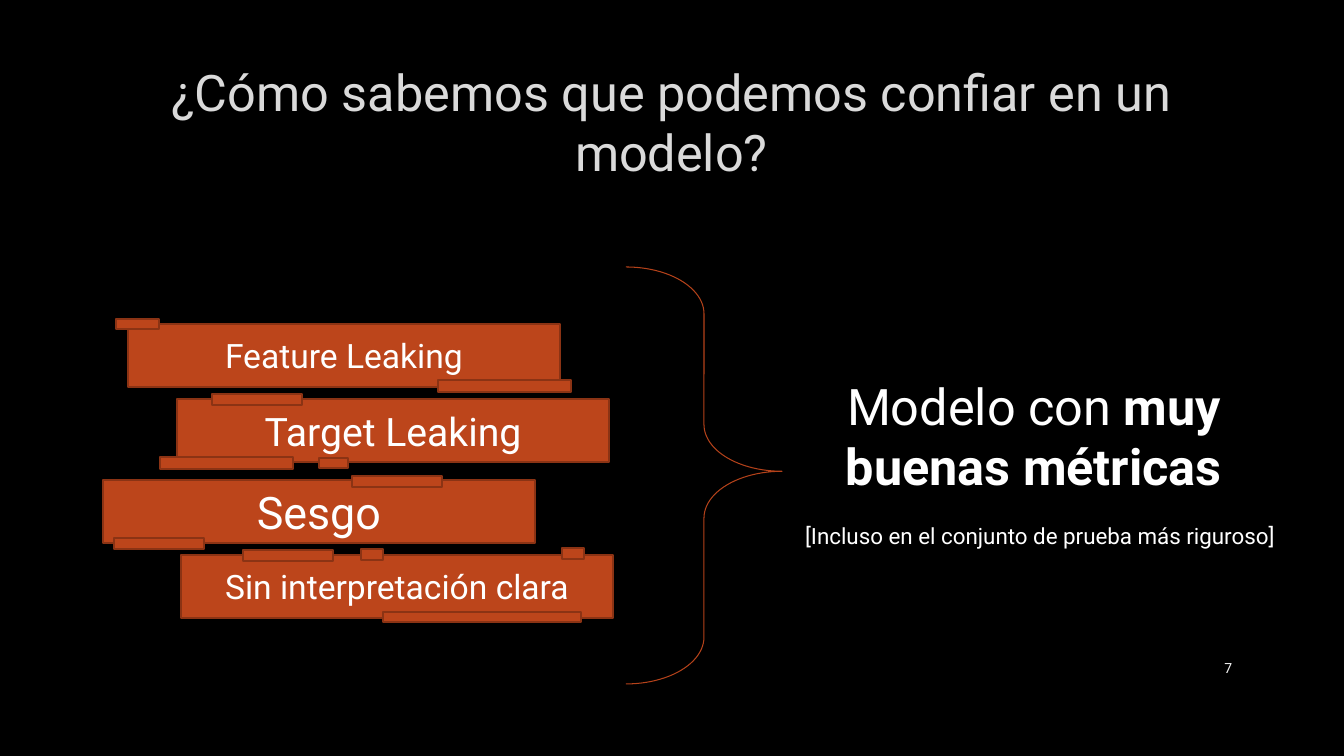
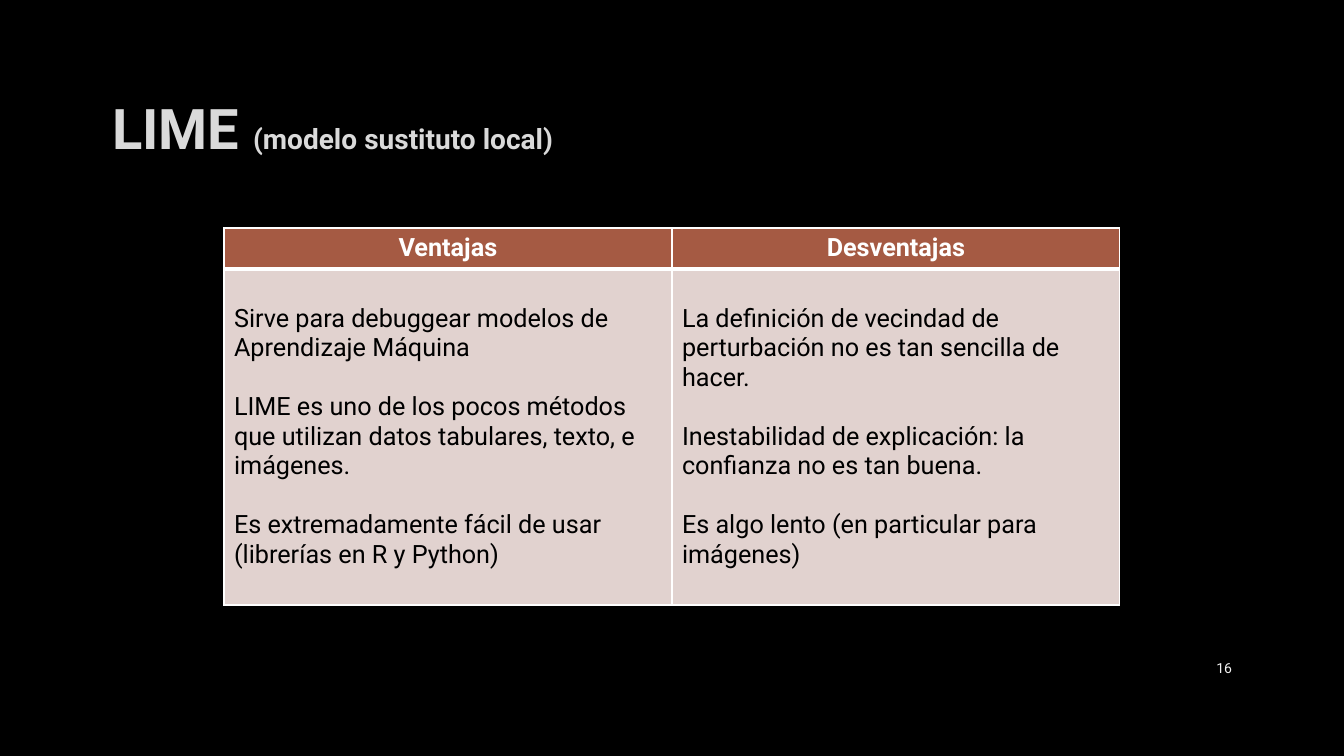
from dataclasses import dataclass

from lxml import etree
from pptx import Presentation
from pptx.dml.color import RGBColor as RGB
from pptx.enum.shapes import MSO_SHAPE as SHAPE
from pptx.enum.text import MSO_ANCHOR as ANCHOR, MSO_AUTO_SIZE as AUTO_SIZE, PP_ALIGN as ALIGN
from pptx.oxml.ns import qn
from pptx.util import Pt


@dataclass(frozen=True)
class Theme:
    font: str = "Roboto"
    background: RGB = RGB(0x00, 0x00, 0x00)
    title: RGB = RGB(0xDA, 0xDA, 0xDA)
    light_text: RGB = RGB(0xFF, 0xFF, 0xFF)
    dark_text: RGB = RGB(0x00, 0x00, 0x00)
    number: RGB = RGB(0xF2, 0xF2, 0xF2)
    brick: RGB = RGB(0xBC, 0x45, 0x1B)
    brick_edge: RGB = RGB(0x8B, 0x33, 0x14)
    brace: RGB = RGB(0xB4, 0x42, 0x1A)
    header_fill: RGB = RGB(0xA5, 0x5A, 0x43)
    body_fill: RGB = RGB(0xE1, 0xD2, 0xCF)
    border: str = "FFFFFF"
    huge: int = 40
    large: int = 36
    subtitle: int = 20
    table: int = 18
    note: int = 16
    small: int = 10


THEME = Theme()
EMU_PER_PX = 914400 / 100.8


def px(*lengths):
    """Turn pixel lengths into a list of EMU lengths."""
    return [round(length * EMU_PER_PX) for length in lengths]


def write(paragraph, runs, color, align=ALIGN.LEFT, bold=False):
    """Fill a paragraph with (text, size) runs that share one look."""
    paragraph.alignment = align
    font = paragraph.font
    font.name, font.bold, font.color.rgb = THEME.font, bold, color
    font.size = Pt(runs[0][1])
    for text, size in runs:
        run = paragraph.add_run()
        run.text = text
        if size != runs[0][1]:
            run.font.size = Pt(size)


presentation = Presentation()
presentation.slide_width, presentation.slide_height = px(1344, 756)
background = presentation.slide_master.background.fill
background.solid()
background.fore_color.rgb = THEME.background

# Titles and slide numbers
headings = [
    ("7", (101, 68), ALIGN.CENTER, False,
     [("¿Cómo sabemos que podemos confiar en un modelo?", THEME.large)]),
    ("16", (102, 74), ALIGN.LEFT, True,
     [("LIME ", THEME.huge), ("(modelo sustituto local)", THEME.subtitle)]),
]
slides = []
for number, corner, align, bold, runs in headings:
    slide = presentation.slides.add_slide(presentation.slide_layouts[5])
    title = slide.shapes.title
    title.left, title.top, title.width, title.height = px(*corner, 1141, 107)
    frame = title.text_frame
    frame.auto_size = AUTO_SIZE.NONE
    frame.vertical_anchor = ANCHOR.MIDDLE
    write(frame.paragraphs[0], runs, THEME.title, align, bold)

    frame = slide.shapes.add_textbox(*px(1159, 648, 83, 40)).text_frame
    frame.word_wrap = True
    frame.vertical_anchor = ANCHOR.MIDDLE
    write(frame.paragraphs[0], [(number, THEME.small)], THEME.number, ALIGN.RIGHT)
    slides.append(slide)
trust_slide, lime_slide = slides

# Wall of labelled bricks with loose chips
bricks = [
    (128, 324, "Feature Leaking", 24),
    (177, 399, "Target Leaking", 28),
    (103, 480, "Sesgo", 32),
    (181, 555, "Sin interpretación clara", 24),
]
chips = [
    (116, 319, 43, 10), (438, 380, 133, 12), (160, 457, 133, 12), (319, 458, 29, 10),
    (212, 394, 90, 11), (352, 476, 90, 11), (114, 538, 90, 11), (243, 550, 90, 11),
    (383, 612, 198, 10), (361, 549, 22, 11), (562, 548, 22, 11),
]
wall = trust_slide.shapes.add_group_shape()
pieces = [((left, top, 432, 63), text, size) for left, top, text, size in bricks]
pieces += [(box, None, None) for box in chips]
for box, text, size in pieces:
    piece = wall.shapes.add_shape(SHAPE.RECTANGLE, *px(*box))
    piece.shadow.inherit = False
    piece.fill.solid()
    piece.fill.fore_color.rgb = THEME.brick
    piece.line.color.rgb = THEME.brick_edge
    piece.line.width = Pt(1.25)
    if text:
        piece.text_frame.vertical_anchor = ANCHOR.MIDDLE
        write(piece.text_frame.paragraphs[0], [(text, size)], THEME.light_text, ALIGN.CENTER)

brace = trust_slide.shapes.add_shape(SHAPE.RIGHT_BRACE, *px(626, 267, 156, 417))
brace.adjustments[0], brace.adjustments[1] = 0.3, 0.49
brace.shadow.inherit = False
brace.fill.background()
brace.line.color.rgb = THEME.brace
brace.line.width = Pt(0.75)

# Conclusion beside the brace
frame = trust_slide.shapes.add_textbox(*px(774, 370, 520, 194)).text_frame
frame.word_wrap = True
claim, note = frame.paragraphs[0], frame.add_paragraph()
write(claim, [("Modelo con ", THEME.large), ("muy buenas métricas", THEME.large)],
      THEME.light_text, ALIGN.CENTER)
claim.runs[1].font.bold = True
write(note, [("[Incluso en el conjunto de prueba más riguroso]", THEME.note)],
      THEME.light_text, ALIGN.CENTER)
note.space_before = Pt(19)
note_indent, = px(12)
note._p.get_or_add_pPr().set("marL", str(note_indent))

# Advantages and disadvantages
columns = [
    ("Ventajas", [
        "Sirve para debuggear modelos de Aprendizaje Máquina",
        "LIME es uno de los pocos métodos que utilizan datos tabulares, texto, e imágenes.",
        "Es extremadamente fácil de usar (librerías en R y Python)",
    ]),
    ("Desventajas", [
        "La definición de vecindad de perturbación no es tan sencilla de hacer.",
        "Inestabilidad de explicación: la confianza no es tan buena.",
        "Es algo lento (en particular para imágenes)",
    ]),
]
table = lime_slide.shapes.add_table(2, 2, *px(224, 228, 896, 377)).table
table.rows[0].height, table.rows[1].height = px(41, 336)
for column, (heading, points) in enumerate(columns):
    header, body = table.cell(0, column), table.cell(1, column)
    for cell, fill, thick_side in ((header, THEME.header_fill, "lnB"),
                                   (body, THEME.body_fill, "lnT")):
        properties = cell._tc.get_or_add_tcPr()
        for side in ("lnL", "lnR", "lnT", "lnB"):
            width = Pt(3 if side == thick_side else 1)
            border = etree.SubElement(properties, qn(f"a:{side}"), w=str(width))
            solid = etree.SubElement(border, qn("a:solidFill"))
            etree.SubElement(solid, qn("a:srgbClr"), val=THEME.border)
        cell.fill.solid()
        cell.fill.fore_color.rgb = fill

    write(header.text_frame.paragraphs[0], [(heading, THEME.table)],
          THEME.light_text, ALIGN.CENTER, True)
    body.margin_top, = px(35)
    frame = body.text_frame
    for index, point in enumerate(points):
        paragraph = frame.add_paragraph() if index else frame.paragraphs[0]
        write(paragraph, [(point, THEME.table)], THEME.dark_text)
        if index:
            paragraph.space_before = Pt(21)

presentation.save("out.pptx")
